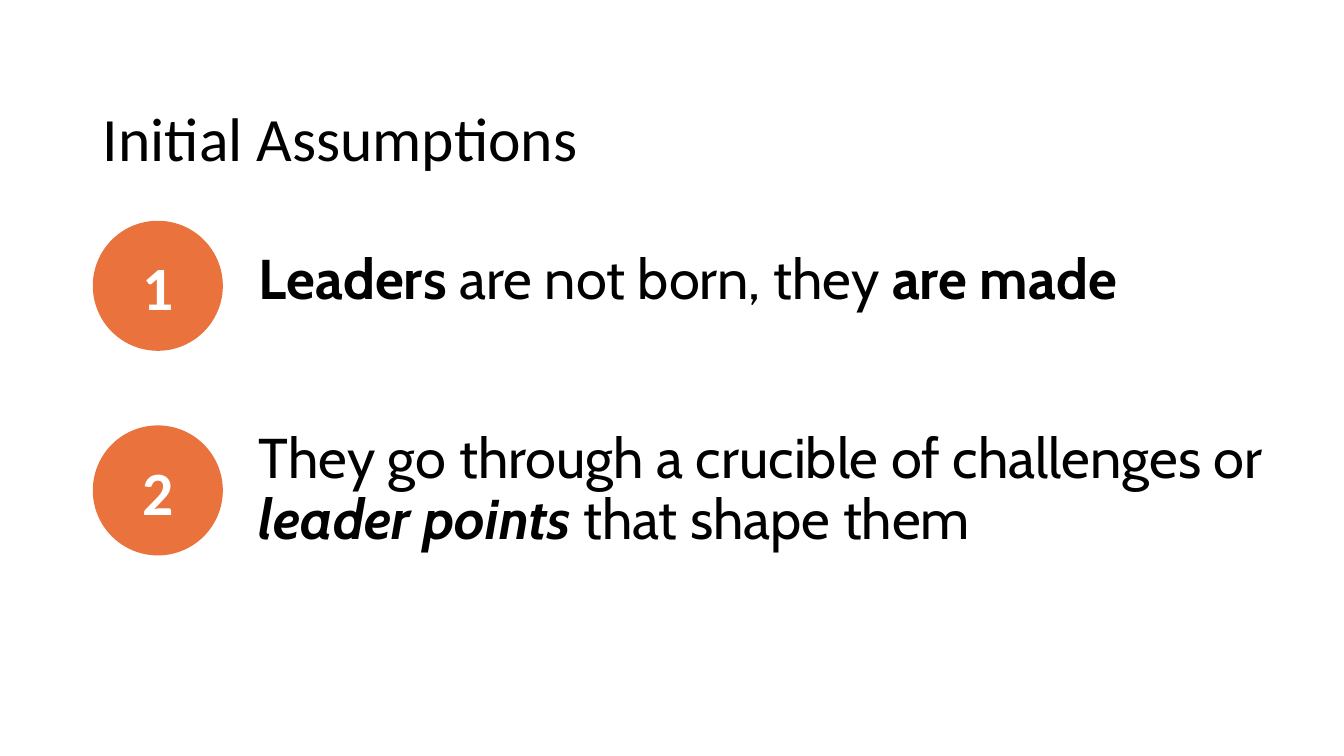
from dataclasses import dataclass

from pptx import Presentation
from pptx.dml.color import RGBColor
from pptx.enum.shapes import MSO_SHAPE
from pptx.enum.text import MSO_ANCHOR, MSO_AUTO_SIZE, PP_ALIGN
from pptx.util import Inches, Pt

ELLIPSE = MSO_SHAPE.OVAL
LEFT, CENTER = PP_ALIGN.LEFT, PP_ALIGN.CENTER
TOP, MIDDLE = MSO_ANCHOR.TOP, MSO_ANCHOR.MIDDLE
NO_FIT = MSO_AUTO_SIZE.NONE


@dataclass(frozen=True)
class Theme:
    ink: RGBColor = RGBColor(0x00, 0x00, 0x00)
    paper: RGBColor = RGBColor(0xFF, 0xFF, 0xFF)
    accent: RGBColor = RGBColor(0xEA, 0x72, 0x3D)
    heading_font: str = "Calibri"
    body_font: str = "Cabin"
    heading_size: int = 44
    body_size: int = 40


def write_text(shape, runs, *, font, size, color, align=LEFT, anchor=TOP,
               line_spacing=0.9):
    """Fill a shape with one paragraph of (text, style) runs; style uses b and i."""
    frame = shape.text_frame
    frame.word_wrap = True
    frame.auto_size = NO_FIT
    frame.vertical_anchor = anchor
    paragraph = frame.paragraphs[0]
    paragraph.alignment = align
    paragraph.line_spacing = line_spacing
    for text, style in runs:
        run = paragraph.add_run()
        run.text = text
        run.font.name = font
        run.font.size = Pt(size)
        run.font.color.rgb = color
        run.font.bold = "b" in style
        run.font.italic = "i" in style


class AssumptionsSlide:
    def __init__(self, slide, theme):
        self.slide = slide
        self.theme = theme
        slide.background.fill.solid()
        slide.background.fill.fore_color.rgb = theme.paper

    def title(self, text, left, top, width, height):
        heading = self.slide.shapes.title
        heading.left, heading.top = Inches(left), Inches(top)
        heading.width, heading.height = Inches(width), Inches(height)
        write_text(heading, [(text, "")], font=self.theme.heading_font,
                   size=self.theme.heading_size, color=self.theme.ink)

    def badge(self, number, left, top, diameter):
        circle = self.slide.shapes.add_shape(
            ELLIPSE, Inches(left), Inches(top), Inches(diameter), Inches(diameter))
        circle.shadow.inherit = False
        circle.fill.solid()
        circle.fill.fore_color.rgb = self.theme.accent
        circle.line.fill.background()
        write_text(circle, [(str(number), "b")], font=self.theme.heading_font,
                   size=self.theme.heading_size, color=self.theme.paper,
                   align=CENTER, anchor=MIDDLE, line_spacing=1.0)

    def statement(self, runs, left, top, width, height):
        box = self.slide.shapes.add_textbox(
            Inches(left), Inches(top), Inches(width), Inches(height))
        write_text(box, runs, font=self.theme.body_font,
                   size=self.theme.body_size, color=self.theme.ink)


def main():
    deck = Presentation()
    deck.slide_width, deck.slide_height = Inches(13.33), Inches(7.5)
    title_only = deck.slide_layouts[5]
    page = AssumptionsSlide(deck.slides.add_slide(title_only), Theme())

    # Shared columns
    margin, statement_left = 0.92, 2.47
    badge_size, first_badge_top, row_pitch = 1.29, 2.19, 2.03

    # Heading
    page.title("Initial Assumptions", margin, 1.02, 9.95, 0.57)

    # Numbered assumptions: runs, then top, width and height of the statement
    assumptions = [
        ([("Leaders", "b"), (" are not born, they ", ""), ("are made", "b")],
         2.44, 9.95, 0.57),
        ([("They go through a crucible of challenges or ", ""),
          ("leader points ", "bi"), ("that shape them", "")],
         4.22, 10.3, 1.29),
    ]
    for row, (runs, top, width, height) in enumerate(assumptions):
        page.statement(runs, statement_left, top, width, height)
        page.badge(row + 1, margin, first_badge_top + row * row_pitch, badge_size)

    deck.save("out.pptx")


if __name__ == "__main__":
    main()
